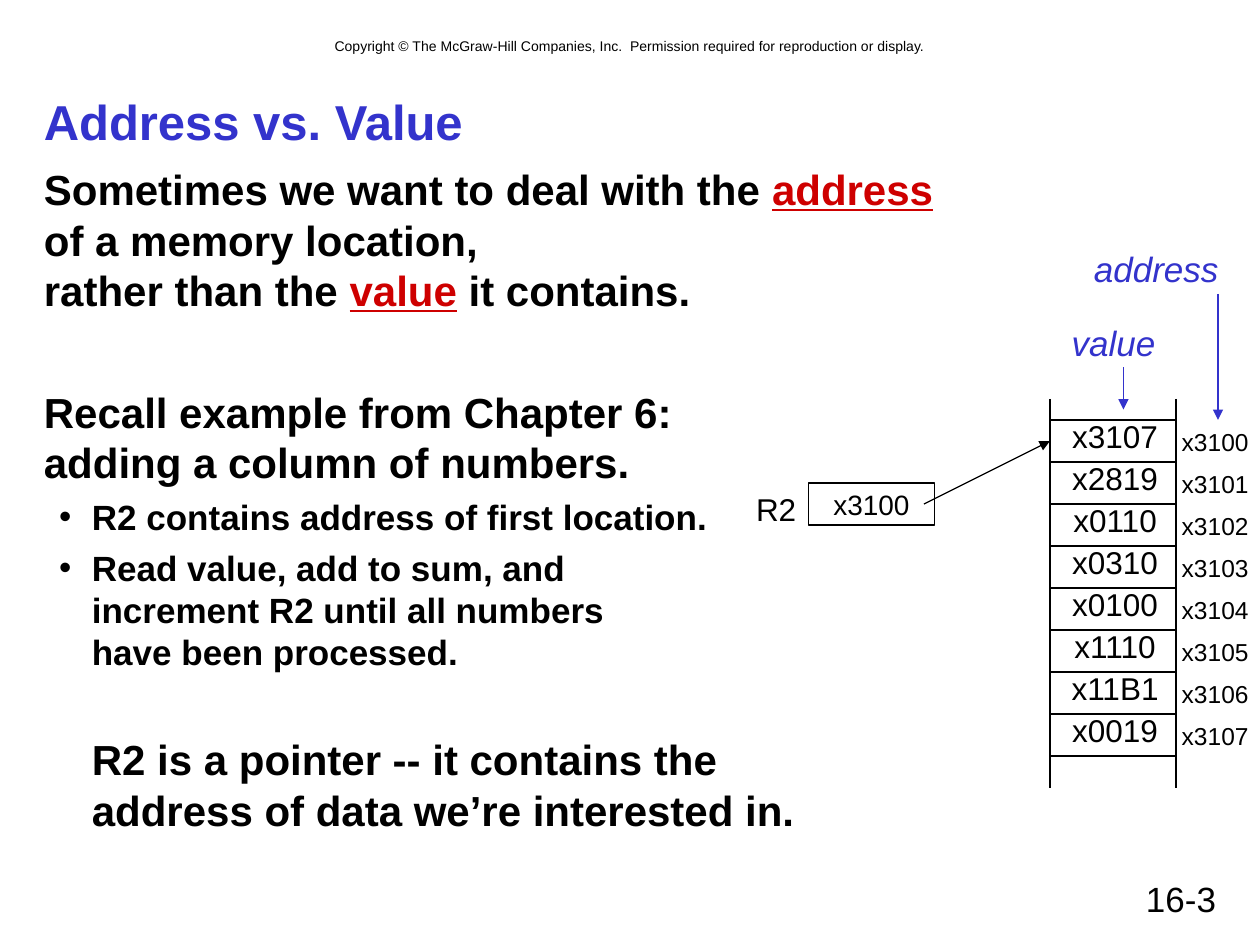
"""Build the "Address vs. Value" slide."""
import dataclasses
from typing import Optional

import lxml.etree
import pptx
import pptx.dml.color
import pptx.enum.shapes
import pptx.enum.text
import pptx.oxml.ns
import pptx.slide
import pptx.util

Pt = pptx.util.Pt
qn = pptx.oxml.ns.qn
RGB = pptx.dml.color.RGBColor
ALIGN = pptx.enum.text.PP_ALIGN
ANCHOR = pptx.enum.text.MSO_ANCHOR


@dataclasses.dataclass(frozen=True)
class Theme:
    font: str = "Arial"
    black: str = "000000"
    blue: str = "3333CC"
    red: str = "CE0000"
    title: int = 28
    body: int = 24
    bullet: int = 20
    label: int = 20
    cell: int = 18
    register: int = 16
    address: int = 14
    copyright: int = 8
    line: float = 0.75
    leading: float = 1.2


T = Theme()


@dataclasses.dataclass(frozen=True)
class Run:
    text: str
    size: float
    color: str = T.black
    bold: bool = False
    italic: bool = False
    underline: bool = False


@dataclasses.dataclass(frozen=True)
class Para:
    runs: tuple[Run, ...]
    before: float = 0
    align: ALIGN = ALIGN.LEFT
    leading: Optional[float] = None
    margin: float = 0
    hanging: float = 0


@dataclasses.dataclass(frozen=True)
class Box:
    x: float
    y: float
    w: float
    h: float
    paras: tuple[Para, ...]
    wrap: bool = False
    anchor: ANCHOR = ANCHOR.TOP
    outlined: bool = False


@dataclasses.dataclass(frozen=True)
class Line:
    x1: float
    y1: float
    x2: float
    y2: float
    color: str = T.black
    arrow: bool = False


def label(x: float, y: float, w: float, h: float, run: Run,
          align: ALIGN = ALIGN.CENTER, **options) -> Box:
    return Box(x, y, w, h, (Para((run,), align=align),), **options)


def body_para(text: str, size: float, before: float, margin: float = 0, hanging: float = 0) -> Para:
    return Para((Run(text, size, bold=True),), before,
                leading=size * T.leading, margin=margin, hanging=hanging)


def add_run(p, run: Run) -> None:
    for i, text in enumerate(run.text.split("\n")):
        if i:
            p.add_line_break()
        if not text:
            continue
        r = p.add_run()
        r.text = text
        fmt = {"name": T.font, "size": Pt(run.size), "bold": run.bold,
               "italic": run.italic, "underline": run.underline}
        for name, value in fmt.items():
            setattr(r.font, name, value)
        r.font.color.rgb = RGB.from_string(run.color)


def fill_para(p, para: Para) -> None:
    pPr = p._p.get_or_add_pPr()
    pPr.set("marL", str(Pt(para.margin)))
    pPr.set("indent", str(-Pt(para.hanging)))
    if para.hanging:
        lxml.etree.SubElement(pPr, qn("a:buFont")).set("typeface", T.font)
        lxml.etree.SubElement(pPr, qn("a:buChar")).set("char", "•")
    fmt = {"alignment": para.align, "space_before": Pt(para.before)}
    if para.leading:
        fmt["line_spacing"] = Pt(para.leading)
    for name, value in fmt.items():
        setattr(p, name, value)
    for run in para.runs:
        add_run(p, run)


def draw_box(s: pptx.slide.Slide, box: Box) -> None:
    frame = [Pt(v) for v in (box.x, box.y, box.w, box.h)]
    if box.outlined:
        sp = s.shapes.add_shape(pptx.enum.shapes.MSO_SHAPE.RECTANGLE, *frame)
        sp.shadow.inherit = False
        sp.fill.background()
        sp.line.color.rgb = RGB.from_string(T.black)
        sp.line.width = Pt(T.line)
    else:
        sp = s.shapes.add_textbox(*frame)
    tf = sp.text_frame
    fmt = {"word_wrap": box.wrap, "vertical_anchor": box.anchor,
           "margin_left": Pt(7.2), "margin_right": Pt(7.2),
           "margin_top": Pt(3.6), "margin_bottom": Pt(3.6)}
    for name, value in fmt.items():
        setattr(tf, name, value)
    for i, para in enumerate(box.paras):
        fill_para(tf.add_paragraph() if i else tf.paragraphs[0], para)


def draw_line(s: pptx.slide.Slide, line: Line) -> None:
    ends = [Pt(v) for v in (line.x1, line.y1, line.x2, line.y2)]
    sp = s.shapes.add_connector(pptx.enum.shapes.MSO_CONNECTOR.STRAIGHT, *ends)
    sp.line.color.rgb = RGB.from_string(line.color)
    sp.line.width = Pt(T.line)
    if line.arrow:
        lxml.etree.SubElement(sp.line._get_or_add_ln(), qn("a:tailEnd")).set("type", "triangle")
    lxml.etree.SubElement(sp._element.spPr, qn("a:effectLst"))


def draw_memory(s: pptx.slide.Slide, values: tuple[str, ...]) -> None:
    left, right, top, pitch = 600, 672, 240, 24
    for x in (left, right):
        draw_line(s, Line(x, 228, x, 450))
    for i in range(len(values) + 1):
        draw_line(s, Line(left, top + i * pitch, right, top + i * pitch))
    for i, value in enumerate(values):
        y = top + i * pitch
        draw_box(s, label(604.2, y - 5.2, 66, 28.8, Run(value, T.cell)))
        draw_box(s, label(668.2, y + 0.6, 53, 24.5, Run(f"x{3100 + i}", T.address), ALIGN.LEFT))


def main() -> None:
    prs = pptx.Presentation()
    prs.slide_width, prs.slide_height = Pt(720), Pt(540)
    s = prs.slides.add_slide(prs.slide_layouts[6])
    intro = Para((
        Run("Sometimes we want to deal with the ", T.body, bold=True),
        Run("address", T.body, T.red, bold=True, underline=True),
        Run("\nof a memory location,\nrather than the ", T.body, bold=True),
        Run("value", T.body, T.red, bold=True, underline=True),
        Run(" it contains.", T.body, bold=True),
    ), leading=T.body * T.leading)
    body = (
        intro,
        body_para("Recall example from Chapter 6:\nadding a column of numbers.", T.body, 40.8),
        body_para("R2 contains address of first location.", T.bullet, 5, 27.4, 18.7),
        body_para("Read value, add to sum, and\nincrement R2 until all numbers\nhave been processed.",
                  T.bullet, 5, 27.4, 18.7),
        body_para("R2 is a pointer -- it contains the\naddress of data we’re interested in.",
                  T.body, 35, 27.4),
    )
    notice = ("Copyright © The McGraw-Hill Companies, Inc.  "
              "Permission required for reproduction or display.")
    boxes = (
        label(48, 18, 624, 17.3, Run(notice, T.copyright), wrap=True),
        label(516, 498, 186, 30, Run("16-3", T.label), ALIGN.RIGHT, wrap=True),
        label(18, 48, 684, 42, Run("Address vs. Value", T.title, T.blue, bold=True),
              ALIGN.LEFT, wrap=True, anchor=ANCHOR.MIDDLE),
        Box(18, 90, 624, 432, body, wrap=True),
        label(462, 276, 72, 24, Run("x3100", T.register), anchor=ANCHOR.MIDDLE, outlined=True),
        label(424.5, 276.5, 38, 28.8, Run("R2", T.cell)),
        label(615.5, 138, 88, 31.7, Run("address", T.label, T.blue, italic=True), ALIGN.RIGHT),
        label(602.4, 180, 65, 31.7, Run("value", T.label, T.blue, italic=True), ALIGN.RIGHT),
    )
    for box in boxes:
        draw_box(s, box)
    draw_memory(s, ("x3107", "x2819", "x0110", "x0310", "x0100", "x1110", "x11B1", "x0019"))
    for line in (Line(528, 288, 600, 252, arrow=True),
                 Line(696, 168, 696, 240, T.blue, True),
                 Line(642, 210, 642, 234, T.blue, True)):
        draw_line(s, line)
    prs.save("out.pptx")


if __name__ == "__main__":
    main()
